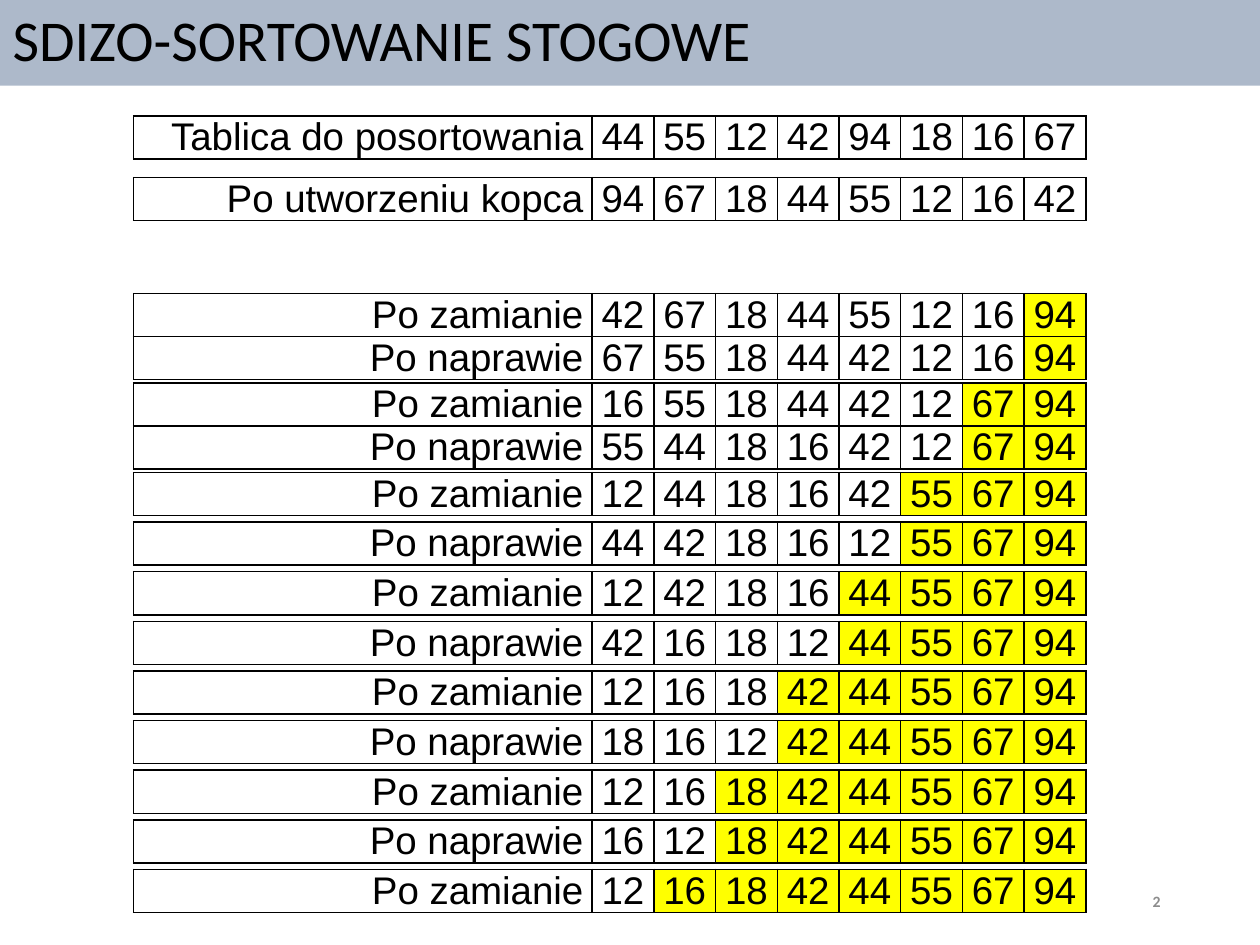
from lxml.etree import SubElement
from pptx import Presentation
from pptx.dml.color import RGBColor
from pptx.enum.text import MSO_ANCHOR, PP_ALIGN
from pptx.oxml.ns import qn
from pptx.util import Inches, Pt

BLACK = RGBColor(0x00, 0x00, 0x00)
GRAY = RGBColor(0x8C, 0x8C, 0x8C)
BLUE_GRAY = RGBColor(0xAD, 0xB9, 0xCA)
YELLOW = RGBColor(0xFF, 0xFF, 0x00)

TABLE_LEFT = 1.06
LABEL_WIDTH = 3.64
NUMBER_WIDTH = 0.49
ROW_HEIGHT = 0.34
FIRST_TOPS = [2.33, 2.67, 3.04, 3.38]
EVEN_START, EVEN_END = 3.75, 6.9

INPUT = [44, 55, 12, 42, 94, 18, 16, 67]
HEAP = [94, 67, 18, 44, 55, 12, 16, 42]
STEPS = [
    [42, 67, 18, 44, 55, 12, 16, 94],
    [67, 55, 18, 44, 42, 12, 16, 94],
    [16, 55, 18, 44, 42, 12, 67, 94],
    [55, 44, 18, 16, 42, 12, 67, 94],
    [12, 44, 18, 16, 42, 55, 67, 94],
    [44, 42, 18, 16, 12, 55, 67, 94],
    [12, 42, 18, 16, 44, 55, 67, 94],
    [42, 16, 18, 12, 44, 55, 67, 94],
    [12, 16, 18, 42, 44, 55, 67, 94],
    [18, 16, 12, 42, 44, 55, 67, 94],
    [12, 16, 18, 42, 44, 55, 67, 94],
    [16, 12, 18, 42, 44, 55, 67, 94],
    [12, 16, 18, 42, 44, 55, 67, 94],
]


def add_text(paragraph, text, font_name, size, color, alignment, bold=False):
    paragraph.alignment = alignment
    run = paragraph.add_run()
    run.text = text
    run.font.name = font_name
    run.font.size = Pt(size)
    run.font.bold = bold
    run.font.color.rgb = color


def add_title(slide, text):
    title = slide.shapes.title
    title.left, title.top = Inches(0), Inches(0)
    title.width, title.height = Inches(10), Inches(0.68)
    title.fill.solid()
    title.fill.fore_color.rgb = BLUE_GRAY
    title.text_frame.vertical_anchor = MSO_ANCHOR.MIDDLE
    paragraph = title.text_frame.paragraphs[0]
    paragraph.line_spacing = 0.9
    add_text(paragraph, text, "Calibri", 33, BLACK, PP_ALIGN.LEFT)


def add_borders(cell):
    properties = cell._tc.get_or_add_tcPr()
    for side in ("a:lnL", "a:lnR", "a:lnT", "a:lnB"):
        line = SubElement(properties, qn(side), w=str(Pt(1)))
        fill = SubElement(line, qn("a:solidFill"))
        SubElement(fill, qn("a:srgbClr"), val=str(BLACK))


def format_cell(cell, text, alignment, highlighted):
    cell.margin_left = cell.margin_right = Inches(0.07)
    cell.margin_top = cell.margin_bottom = 0
    add_borders(cell)
    if highlighted:
        cell.fill.solid()
        cell.fill.fore_color.rgb = YELLOW
    else:
        cell.fill.background()
    add_text(cell.text_frame.paragraphs[0], text, "Arial", 22, BLACK, alignment)


def add_array_row(slide, top, label, numbers, sorted_count=0):
    width = LABEL_WIDTH + NUMBER_WIDTH * len(numbers)
    table = slide.shapes.add_table(
        1, len(numbers) + 1,
        Inches(TABLE_LEFT), Inches(top), Inches(width), Inches(ROW_HEIGHT),
    ).table
    table.first_row = False
    table.horz_banding = False
    table.columns[0].width = Inches(LABEL_WIDTH)
    format_cell(table.cell(0, 0), label, PP_ALIGN.RIGHT, False)
    first_sorted = len(numbers) - sorted_count
    for index, number in enumerate(numbers):
        table.columns[index + 1].width = Inches(NUMBER_WIDTH)
        format_cell(table.cell(0, index + 1), str(number), PP_ALIGN.CENTER,
                    index >= first_sorted)


def add_slide_number(slide, number):
    box = slide.shapes.add_textbox(Inches(7.06), Inches(6.95), Inches(2.25), Inches(0.4))
    box.text_frame.word_wrap = True
    box.text_frame.vertical_anchor = MSO_ANCHOR.MIDDLE
    add_text(box.text_frame.paragraphs[0], number, "Calibri", 9, GRAY,
             PP_ALIGN.RIGHT, bold=True)


def main():
    presentation = Presentation()
    presentation.slide_width = Inches(10)
    presentation.slide_height = Inches(7.5)
    slide = presentation.slides.add_slide(presentation.slide_layouts[5])
    add_title(slide, "SDIZO-SORTOWANIE STOGOWE")
    add_array_row(slide, 0.92, "Tablica do posortowania", INPUT)
    add_array_row(slide, 1.41, "Po utworzeniu kopca", HEAP)
    even_count = len(STEPS) - len(FIRST_TOPS)
    pitch = (EVEN_END - EVEN_START) / (even_count - 1)
    tops = FIRST_TOPS + [EVEN_START + pitch * index for index in range(even_count)]
    for index, (top, numbers) in enumerate(zip(tops, STEPS)):
        label = "Po naprawie" if index % 2 else "Po zamianie"
        add_array_row(slide, top, label, numbers, index // 2 + 1)
    add_slide_number(slide, "2")
    presentation.save("out.pptx")


if __name__ == "__main__":
    main()
